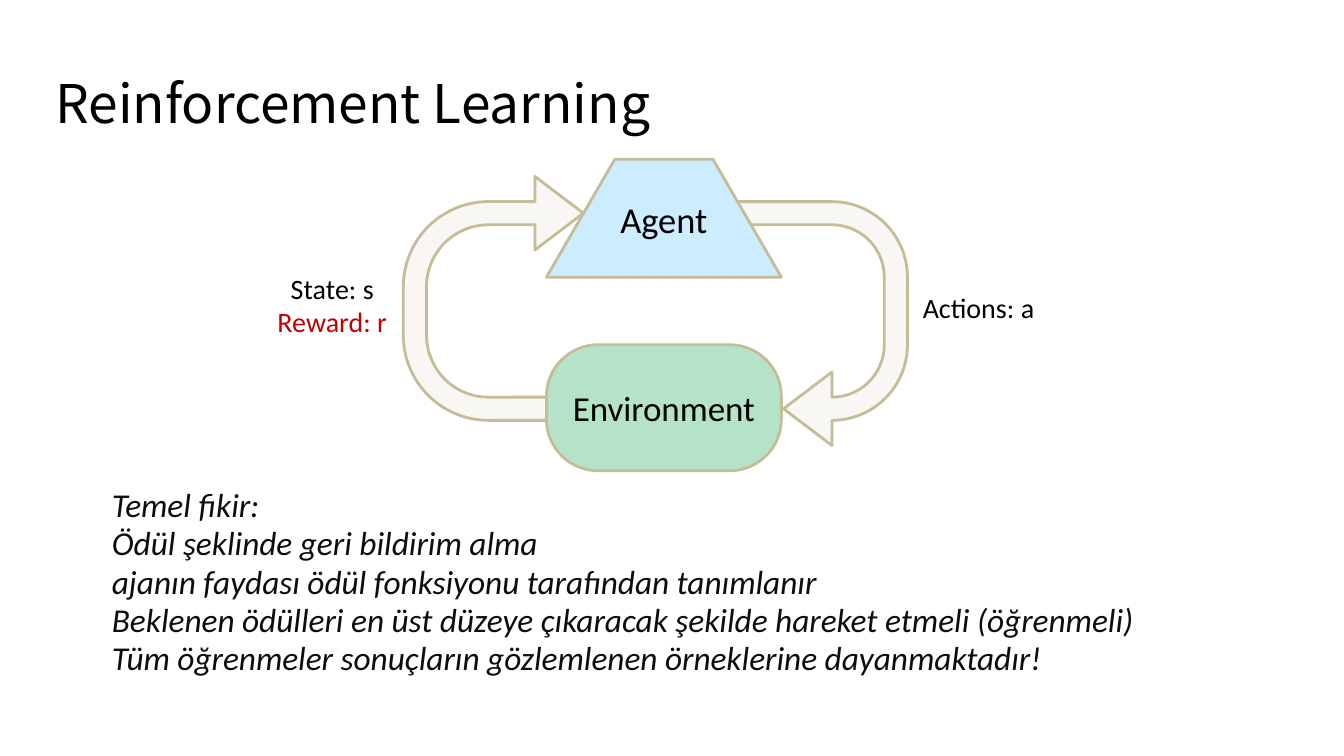
import pptx
import pptx.dml.color
import pptx.enum.shapes
import pptx.enum.text
import pptx.util

Inches = pptx.util.Inches
Pt = pptx.util.Pt
SHAPE = pptx.enum.shapes.MSO_SHAPE
ANCHOR = pptx.enum.text.MSO_ANCHOR
ALIGN = pptx.enum.text.PP_ALIGN

BLACK, RED, BODY_COLOR = "000000", "C00000", "0D0D0D"
ARROW_FILL, OUTLINE = "F8F7F3", "C4BD97"

TITLE = [("Reinforcement Learning", BLACK)]
IDEAS = [
    (line, BODY_COLOR)
    for line in (
        "Temel fikir:",
        "Ödül şeklinde geri bildirim alma",
        "ajanın faydası ödül fonksiyonu tarafından tanımlanır",
        "Beklenen ödülleri en üst düzeye çıkaracak şekilde hareket etmeli (öğrenmeli)",
        "Tüm öğrenmeler sonuçların gözlemlenen örneklerine dayanmaktadır!",
    )
]
LABELS = [
    ((8.83, 2.83, 1.75, 0.44), [("Actions: a", BLACK)]),
    ((2.42, 2.64, 1.75, 0.77), [("State: s", BLACK), ("Reward: r", RED)]),
]
ARROWS = [
    ((3.75, 2, 2.42, 1.92), 270, 0.93),
    ((6.83, 2.25, 2.42, 1.92), 90, 0.64),
]
ARROW_PROPORTIONS = [0.12, 0.19, 0.25, 0.44]
NODES = [
    ("Environment", SHAPE.ROUNDED_RECTANGLE, (5.42, 3.42, 2.33, 1.25), 0.41, "B5E3C8", 25, ANCHOR.MIDDLE, 0.05),
    ("Agent", SHAPE.TRAPEZOID, (5.42, 1.58, 2.33, 1.17), 0.58, "CCECFF", 26, ANCHOR.TOP, 0.15),
]


def color(value):
    return pptx.dml.color.RGBColor.from_string(value)


def write(shape, lines, size, font="Calibri", align=ALIGN.CENTER, anchor=ANCHOR.TOP,
          side=0.1, top=0.05, italic=False, spacing=1.0, gap=0):
    frame = shape.text_frame
    frame.word_wrap = True
    frame.vertical_anchor = anchor
    frame.margin_left = frame.margin_right = Inches(side)
    frame.margin_top, frame.margin_bottom = Inches(top), Inches(0.05)
    for index, (text, text_color) in enumerate(lines):
        paragraph = frame.add_paragraph() if index else frame.paragraphs[0]
        paragraph.alignment = align
        paragraph.line_spacing = spacing
        paragraph.space_before = Pt(gap if index else 0)
        run = paragraph.add_run()
        run.text = text
        run.font.name = font
        run.font.size = Pt(size)
        run.font.italic = italic
        run.font.color.rgb = color(text_color)


def add_text(slide, box, lines, size, **style):
    write(slide.shapes.add_textbox(*map(Inches, box)), lines, size, **style)


def add_outlined(slide, kind, box, fill, adjustments):
    shape = slide.shapes.add_shape(kind, *map(Inches, box))
    shape.shadow.inherit = False
    shape.fill.solid()
    shape.fill.fore_color.rgb = color(fill)
    shape.line.color.rgb = color(OUTLINE)
    shape.line.width = Pt(2)
    for index, value in enumerate(adjustments):
        shape.adjustments[index] = value
    return shape


def main():
    presentation = pptx.Presentation()
    presentation.slide_width = Inches(13.33)
    presentation.slide_height = Inches(7.5)
    slide = presentation.slides.add_slide(presentation.slide_layouts[6])

    add_text(slide, (0.44, 0.21, 11.33, 1.61), TITLE, 38, font="Noto Sans CJK KR",
             align=ALIGN.LEFT, anchor=ANCHOR.MIDDLE, side=0.11)
    for box, rotation, reach in ARROWS:
        arrow = add_outlined(slide, SHAPE.U_TURN_ARROW, box, ARROW_FILL, ARROW_PROPORTIONS + [reach])
        arrow.rotation = rotation
    add_text(slide, (1, 4.83, 10.78, 2.25), IDEAS, 23.8, align=ALIGN.LEFT,
             side=0.11, italic=True, spacing=0.8, gap=4.5)
    for name, kind, box, adjustment, fill, size, anchor, top in NODES:
        node = add_outlined(slide, kind, box, fill, [adjustment])
        write(node, [(name, BLACK)], size, anchor=anchor, top=top)
    for box, lines in LABELS:
        add_text(slide, box, lines, 20)

    presentation.save("out.pptx")


if __name__ == "__main__":
    main()
